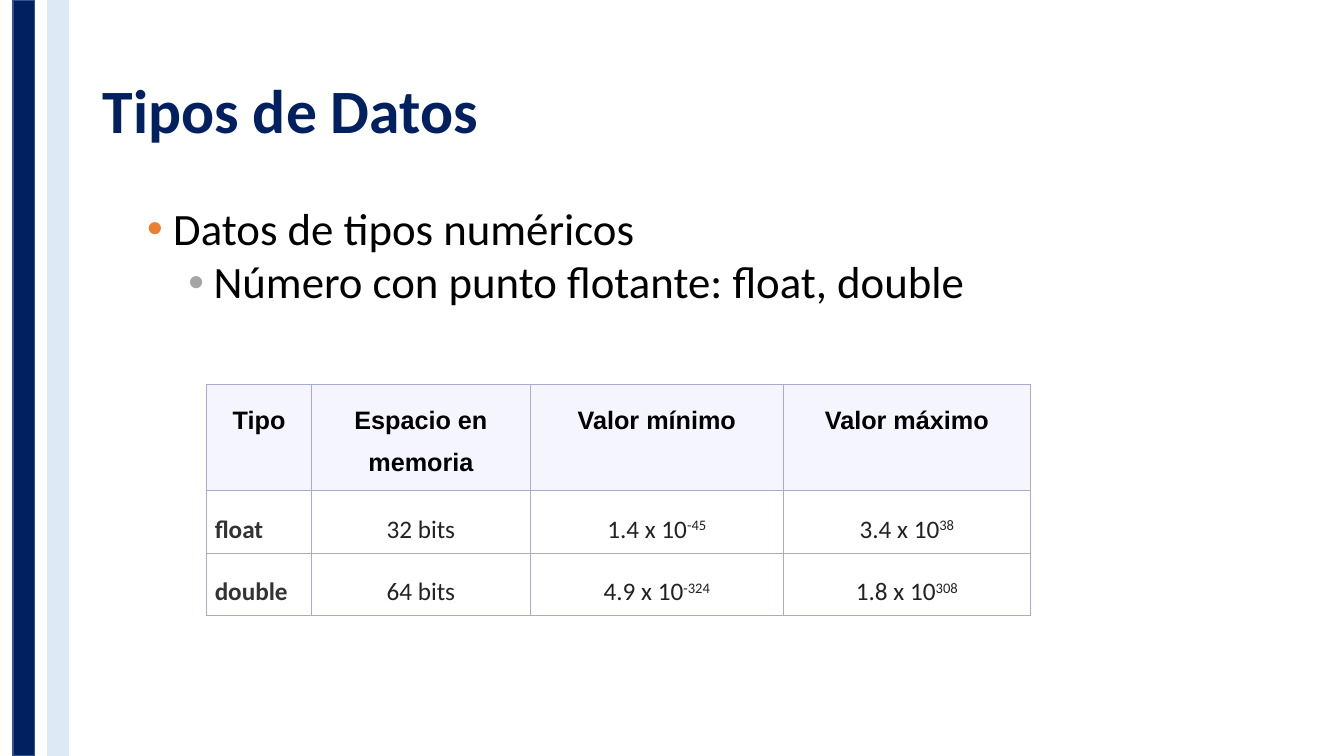
from dataclasses import dataclass

from lxml.etree import SubElement
from pptx import Presentation
from pptx.dml.color import RGBColor
from pptx.enum.shapes import MSO_SHAPE as Shape
from pptx.enum.text import MSO_ANCHOR as Anchor, MSO_AUTO_SIZE as AutoSize, PP_ALIGN as Align
from pptx.oxml.ns import qn
from pptx.util import Inches, Pt

COLORS = {
    "navy": "002060", "navy_edge": "31538F", "pale_blue": "DDEAF6",
    "orange": "ED7D31", "gray": "A5A5A5", "black": "000000",
    "header": "F5F5FF", "border": "AAAACC", "type": "333333", "value": "222222",
}


@dataclass
class Stripe:
    left: float
    fill: str
    line: str


@dataclass
class Bullet:
    text: str
    level: int
    margin: float
    hanging: float
    color: str
    space_before: float


@dataclass
class DataType:
    name: str
    memory: str
    minimum: tuple[str, str]
    maximum: tuple[str, str]


STRIPES = [Stripe(0.13, "navy", "navy_edge"), Stripe(0.47, "pale_blue", "pale_blue")]
BULLETS = [
    Bullet("Datos de tipos numéricos", 1, 0.7, 0.26, "orange", 0),
    Bullet("Número con punto flotante: float, double", 2, 1.1, 0.25, "gray", 3.6),
]
HEADERS = ["Tipo", "Espacio en memoria", "Valor mínimo", "Valor máximo"]
DATA_TYPES = [
    DataType("float", "32 bits", ("1.4 x 10", "-45"), ("3.4 x 10", "38")),
    DataType("double", "64 bits", ("4.9 x 10", "-324"), ("1.8 x 10", "308")),
]
COLUMN_WIDTHS = [1.04, 2.17, 2.51, 2.45]
ROW_HEIGHTS = [1.01, 0.62, 0.62]


def rgb(name: str) -> RGBColor:
    return RGBColor.from_string(COLORS[name])


def write(paragraph, text: str, *, exponent: str = "", size: float = 18,
          font: str = "Calibri", color: str = "black", bold: bool = False,
          align=Align.LEFT, spacing: float = 0.9, before: float = 0) -> None:
    """Fill a paragraph with formatted text and an optional superscript."""
    paragraph.alignment = align
    paragraph.line_spacing = spacing
    paragraph.space_before = Pt(before)
    for part in filter(None, (text, exponent)):
        run = paragraph.add_run()
        run.text = part
        run.font.size = Pt(size)
        run.font.name = font
        run.font.bold = bold
        run.font.color.rgb = rgb(color)
    if exponent:
        run.font._element.set("baseline", "30000")


def add_stripe(slide, stripe: Stripe) -> None:
    shape = slide.shapes.add_shape(
        Shape.RECTANGLE, Inches(stripe.left), 0, Inches(0.21), Inches(7.5))
    shape.shadow.inherit = False
    shape.fill.solid()
    shape.fill.fore_color.rgb = rgb(stripe.fill)
    shape.line.color.rgb = rgb(stripe.line)
    shape.line.width = Pt(1)


def set_title(slide, text: str) -> None:
    title = slide.shapes.title
    title.left, title.top = Inches(0.92), Inches(0.4)
    title.width, title.height = Inches(11.5), Inches(1.45)
    frame = title.text_frame
    frame.auto_size = AutoSize.NONE
    frame.vertical_anchor = Anchor.MIDDLE
    write(frame.paragraphs[0], text, size=44, color="navy", bold=True)


def add_bullet_mark(paragraph, bullet: Bullet) -> None:
    properties = paragraph._p.get_or_add_pPr()
    properties.set("marL", str(Inches(bullet.margin)))
    properties.set("indent", str(-Inches(bullet.hanging)))
    color = SubElement(properties, qn("a:buClr"))
    SubElement(color, qn("a:srgbClr"), val=COLORS[bullet.color])
    SubElement(properties, qn("a:buFont"), typeface="Arial")
    SubElement(properties, qn("a:buChar"), char="•")


def add_bullets(slide, bullets: list[Bullet]) -> None:
    box = slide.shapes.add_textbox(Inches(0.92), Inches(2), Inches(11.5), Inches(4.76))
    frame = box.text_frame
    frame.word_wrap = True
    for index, bullet in enumerate(bullets):
        paragraph = frame.add_paragraph() if index else frame.paragraphs[0]
        paragraph.level = bullet.level
        add_bullet_mark(paragraph, bullet)
        write(paragraph, bullet.text, size=32, before=bullet.space_before)


def format_cell(cell, fill: str = "") -> None:
    """Set margins, thin borders on every side and an optional fill."""
    cell.margin_left = cell.margin_right = Inches(0.08)
    cell.margin_top = cell.margin_bottom = Inches(0.08)
    properties = cell._tc.get_or_add_tcPr()
    for side in ("lnL", "lnR", "lnT", "lnB"):
        border = SubElement(properties, qn(f"a:{side}"), w=str(Pt(0.75)))
        solid = SubElement(border, qn("a:solidFill"))
        SubElement(solid, qn("a:srgbClr"), val=COLORS["border"])
    if fill:
        cell.fill.solid()
        cell.fill.fore_color.rgb = rgb(fill)
    else:
        cell.fill.background()


def add_type_table(slide) -> None:
    table = slide.shapes.add_table(
        len(ROW_HEIGHTS), len(COLUMN_WIDTHS), Inches(2.05), Inches(3.81),
        Inches(sum(COLUMN_WIDTHS)), Inches(sum(ROW_HEIGHTS))).table
    table.first_row = table.horz_banding = False
    for column, width in zip(table.columns, COLUMN_WIDTHS):
        column.width = Inches(width)
    for row, height in zip(table.rows, ROW_HEIGHTS):
        row.height = Inches(height)

    for column, header in enumerate(HEADERS):
        cell = table.cell(0, column)
        format_cell(cell, "header")
        write(cell.text_frame.paragraphs[0], header, font="Arial", bold=True,
              align=Align.CENTER, spacing=1.5)

    for row, item in enumerate(DATA_TYPES, start=1):
        values = [(item.name, ""), (item.memory, ""), item.minimum, item.maximum]
        for column, (text, exponent) in enumerate(values):
            cell = table.cell(row, column)
            format_cell(cell)
            is_name = column == 0
            write(cell.text_frame.paragraphs[0], text, exponent=exponent,
                  color="type" if is_name else "value", bold=is_name,
                  align=Align.LEFT if is_name else Align.CENTER, spacing=1.5)


def main() -> None:
    presentation = Presentation()
    presentation.slide_width, presentation.slide_height = Inches(13.33), Inches(7.5)
    slide = presentation.slides.add_slide(presentation.slide_layouts[5])
    for stripe in STRIPES:
        add_stripe(slide, stripe)
    set_title(slide, "Tipos de Datos")
    add_bullets(slide, BULLETS)
    add_type_table(slide)
    presentation.save("out.pptx")


if __name__ == "__main__":
    main()
